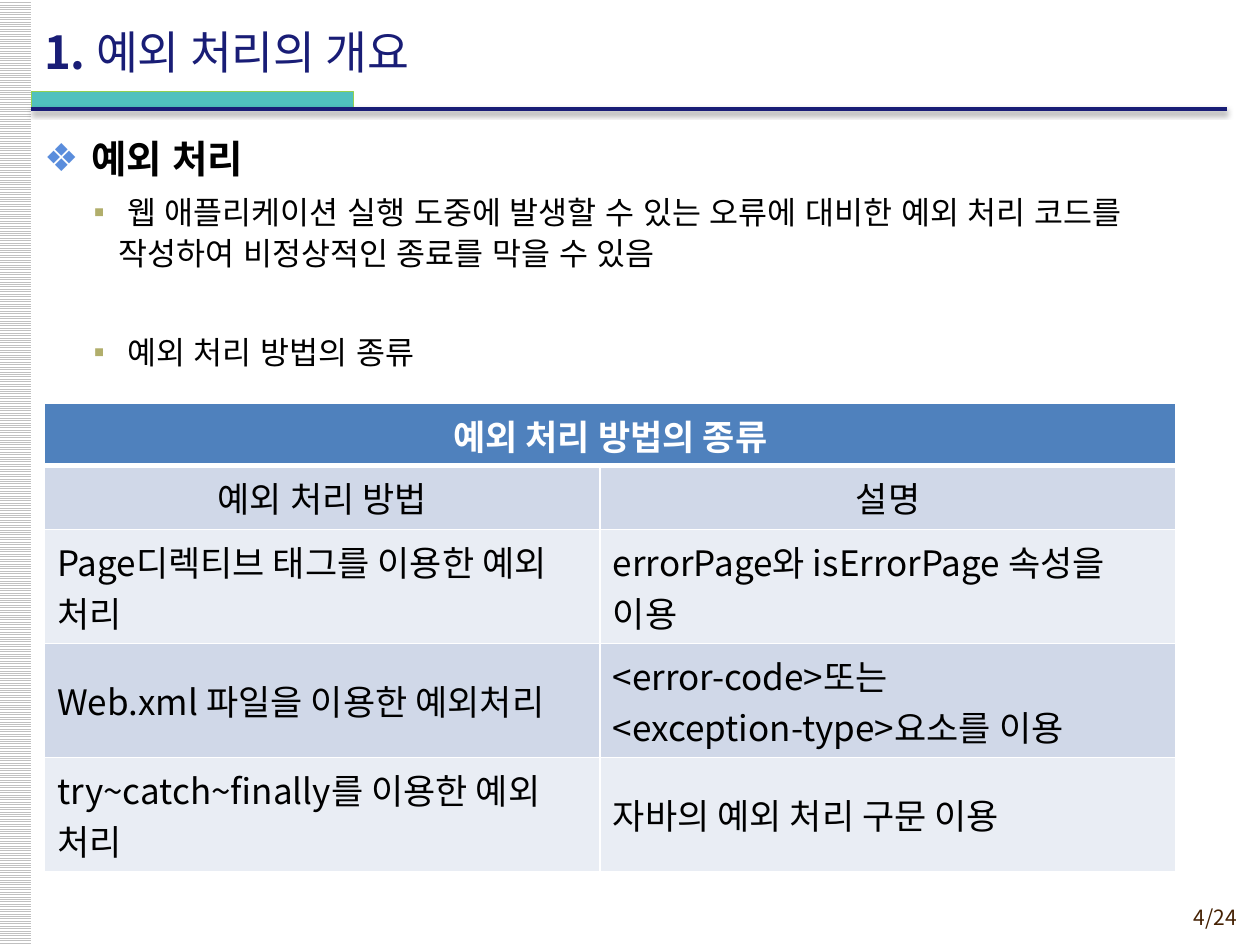
"""Build the slide that introduces exception handling and lists its methods."""
from lxml.etree import SubElement
from pptx import Presentation
from pptx.dml.color import RGBColor
from pptx.enum.dml import MSO_PATTERN
from pptx.enum.shapes import MSO_CONNECTOR, MSO_SHAPE
from pptx.enum.text import MSO_ANCHOR, PP_ALIGN
from pptx.oxml.ns import qn
from pptx.util import Cm, Pt

NOTO = "Noto Sans CJK KR"
BLACK = RGBColor(0x00, 0x00, 0x00)
WHITE = RGBColor(0xFF, 0xFF, 0xFF)
SILVER = RGBColor(0xC0, 0xC0, 0xC0)
BROWN = RGBColor(0x45, 0x21, 0x03)
NAVY = RGBColor(0x19, 0x1D, 0x76)
TEAL = RGBColor(0x50, 0xC1, 0xBE)
GREEN = RGBColor(0x92, 0xD0, 0x50)
BULLET_BLUE = RGBColor(0x5A, 0x8D, 0xDC)
BULLET_OLIVE = RGBColor(0xB1, 0xAE, 0x6B)
HEADER_BLUE = RGBColor(0x4F, 0x81, 0xBD)
BANDS = [RGBColor(0xE9, 0xED, 0xF4), RGBColor(0xD0, 0xD8, 0xE8)]

TITLE = ("1. ", "예외 처리의 개요")
PAGE = "4/24"
HEADING = "예외 처리"
POINTS = [
    (" 웹 애플리케이션 실행 도중에 발생할 수 있는 오류에 대비한 예외 처리 코드를 "
     "작성하여 비정상적인 종료를 막을 수 있음", 3.6),
    (" 예외 처리 방법의 종류", 31.5),
]
TABLE_TITLE = "예외 처리 방법의 종류"
METHODS = [
    ("예외 처리 방법", "설명"),
    ("Page디렉티브 태그를 이용한 예외 처리", "errorPage와 isErrorPage 속성을 이용"),
    ("Web.xml 파일을 이용한 예외처리", "<error-code>또는\n<exception-type>요소를 이용"),
    ("try~catch~finally를 이용한 예외 처리", "자바의 예외 처리 구문 이용"),
]
COLUMN_WIDTHS = [11.2, 11.61]
ROW_HEIGHTS = [1.26, 1.28, 2.3, 2.3, 2.3]


def add_text(paragraph, text, size=20, color=BLACK, bold=False, font=NOTO, align=PP_ALIGN.LEFT):
    paragraph.alignment = align
    run = paragraph.add_run()
    run.text = text
    run.font.size = Pt(size)
    run.font.bold = bold
    run.font.color.rgb = color
    run.font.name = font
    run.font._element.find(qn("a:latin")).addnext(
        SubElement(run.font._element, qn("a:ea"), typeface=font))


def add_box(slide, left, top, width, height, anchor=MSO_ANCHOR.TOP):
    frame = slide.shapes.add_textbox(Cm(left), Cm(top), Cm(width), Cm(height)).text_frame
    frame.word_wrap = True
    frame.vertical_anchor = anchor
    return frame


def add_color(parent, color):
    fill = SubElement(parent, qn("a:solidFill"))
    SubElement(fill, qn("a:srgbClr"), val=str(color))


def set_bullet(paragraph, mark, color, margin, hanging, before):
    paragraph.space_before, paragraph.space_after = Pt(before), Pt(1)
    properties = paragraph._p.get_or_add_pPr()
    properties.set("marL", str(Cm(margin)))
    properties.set("indent", str(-Cm(hanging)))
    bullet_color = SubElement(properties, qn("a:buClr"))
    SubElement(bullet_color, qn("a:srgbClr"), val=str(color))
    SubElement(properties, qn("a:buFont"), typeface="Arial")
    SubElement(properties, qn("a:buChar"), char=mark)


def add_bar(slide, left, top, width, height):
    shape = slide.shapes.add_shape(
        MSO_SHAPE.RECTANGLE, Cm(left), Cm(top), Cm(width), Cm(height))
    shape.shadow.inherit = False
    return shape


def add_frame(slide):
    stripe = add_bar(slide, -0.02, 0, 0.65, 19.05)
    stripe.fill.patterned()
    stripe.fill.pattern = MSO_PATTERN.LIGHT_HORIZONTAL
    stripe.fill.fore_color.rgb = SILVER
    stripe.fill.back_color.rgb = WHITE
    stripe.line.fill.background()

    accent = add_bar(slide, 0.63, 1.85, 6.5, 0.36)
    accent.fill.solid()
    accent.fill.fore_color.rgb = TEAL
    accent.line.color.rgb = GREEN
    accent.line.width = Pt(0.75)

    rule = slide.shapes.add_connector(
        MSO_CONNECTOR.STRAIGHT, Cm(0.63), Cm(2.2), Cm(24.73), Cm(2.2))
    rule.line.color.rgb = NAVY
    rule.line.width = Pt(2)
    effects = SubElement(rule._element.spPr, qn("a:effectLst"))
    shadow = SubElement(effects, qn("a:outerShdw"), blurRad=str(Pt(3.1)),
                        dist=str(Pt(1.6)), dir="5400000", rotWithShape="0")
    shadow_color = SubElement(shadow, qn("a:srgbClr"), val=str(BLACK))
    SubElement(shadow_color, qn("a:alpha"), val="38000")


def format_cell(cell, text, fill, top=1, bottom=1, **text_format):
    cell.vertical_anchor = MSO_ANCHOR.MIDDLE
    properties = cell._tc.get_or_add_tcPr()
    for side, width in (("L", 1), ("R", 1), ("T", top), ("B", bottom)):
        add_color(SubElement(properties, qn(f"a:ln{side}"), w=str(Pt(width))), WHITE)
    cell.fill.solid()
    cell.fill.fore_color.rgb = fill
    for index, line in enumerate(text.split("\n")):
        frame = cell.text_frame
        paragraph = frame.add_paragraph() if index else frame.paragraphs[0]
        add_text(paragraph, line, **text_format)


def add_methods_table(slide):
    table = slide.shapes.add_table(
        len(ROW_HEIGHTS), len(COLUMN_WIDTHS), Cm(0.9), Cm(8.13),
        Cm(sum(COLUMN_WIDTHS)), Cm(sum(ROW_HEIGHTS))).table
    for column, width in zip(table.columns, COLUMN_WIDTHS):
        column.width = Cm(width)
    for row, height in zip(table.rows, ROW_HEIGHTS):
        row.height = Cm(height)
    table.cell(0, 0).merge(table.cell(0, 1))
    format_cell(table.cell(0, 0), TABLE_TITLE, HEADER_BLUE, bottom=3,
                color=WHITE, bold=True, align=PP_ALIGN.CENTER)
    for row, texts in enumerate(METHODS, 1):
        first = row == 1
        for column, text in enumerate(texts):
            format_cell(table.cell(row, column), text, BANDS[row % 2], top=3 if first else 1,
                        align=PP_ALIGN.CENTER if first else PP_ALIGN.LEFT)


def main():
    presentation = Presentation()
    presentation.slide_width, presentation.slide_height = Cm(25.4), Cm(19.05)
    slide = presentation.slides.add_slide(presentation.slide_layouts[6])
    add_frame(slide)

    page = add_box(slide, 22.5, 18.11, 2.69, 0.74)
    add_text(page.paragraphs[0], PAGE, size=12, color=BROWN, align=PP_ALIGN.RIGHT)

    body = add_box(slide, 0.64, 2.59, 24.13, 15.88)
    heading = body.paragraphs[0]
    add_text(heading, HEADING, size=22, bold=True, font="Arial")
    set_bullet(heading, "❖", BULLET_BLUE, 0.95, 0.95, 4.4)
    for text, before in POINTS:
        point = body.add_paragraph()
        point.line_spacing = 1.1
        add_text(point, text, size=18, font="Arial")
        set_bullet(point, "▪", BULLET_OLIVE, 1.5, 0.5, before)

    title = add_box(slide, 0.64, 0.23, 21, 1.6, MSO_ANCHOR.MIDDLE)
    for text, bold in zip(TITLE, (True, False)):
        add_text(title.paragraphs[0], text, size=26, color=NAVY, bold=bold)

    add_methods_table(slide)
    presentation.save("out.pptx")


if __name__ == "__main__":
    main()
